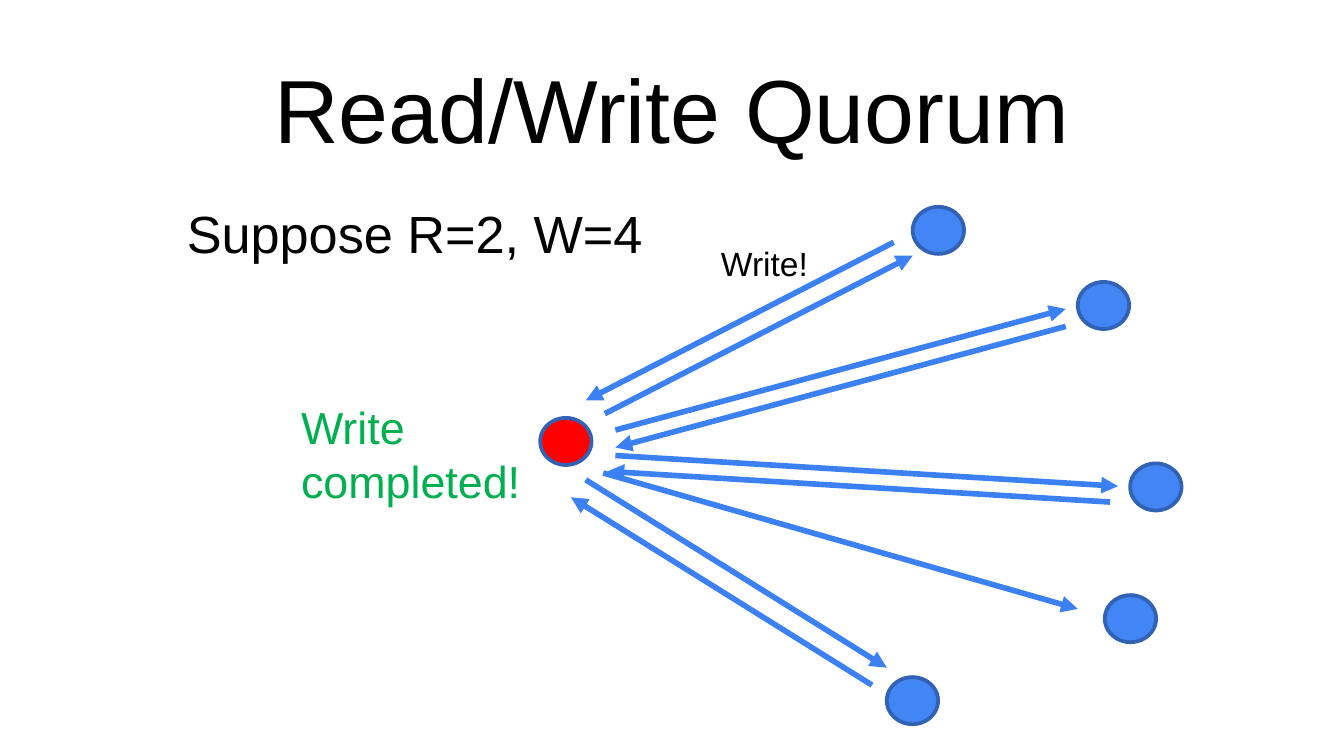
from dataclasses import dataclass

from lxml import etree
from pptx import Presentation
from pptx.dml.color import RGBColor
from pptx.enum.shapes import MSO_CONNECTOR, MSO_SHAPE
from pptx.enum.text import MSO_ANCHOR, MSO_AUTO_SIZE, PP_ALIGN
from pptx.oxml.ns import qn
from pptx.util import Cm, Pt

CIRCLE = MSO_SHAPE.FLOWCHART_CONNECTOR
STRAIGHT = MSO_CONNECTOR.STRAIGHT
LEFT, CENTER = PP_ALIGN.LEFT, PP_ALIGN.CENTER
MIDDLE = MSO_ANCHOR.MIDDLE
GROW = MSO_AUTO_SIZE.SHAPE_TO_FIT_TEXT
BLANK_LAYOUT = 6


@dataclass(frozen=True)
class Theme:
    font: str = "Arial"
    ink: str = "000000"
    success: str = "00B050"
    replica: str = "4285F4"
    coordinator: str = "FF0000"
    outline: str = "3162B5"
    arrow: str = "3C81F3"
    title_size: int = 48
    lead_size: int = 28
    status_size: int = 24
    label_size: int = 18
    outline_width: int = 2
    arrow_width: int = 3


THEME = Theme()
NODE_SIZE = (0.97, 0.89)

# Centimetres from the top left corner of the diagram
COORDINATOR = (0, 3.99)
REPLICAS = [(7.04, 0), (10.16, 1.42), (11.15, 4.85), (10.67, 7.34), (6.55, 8.89)]
# Start and end of each request, then the shift to its reply (None: no reply)
MESSAGES = [
    ((1.22, 3.91), (7.04, 0.92), (-0.36, -0.25)),
    ((1.42, 4.22), (9.93, 1.93), (0, 0.33)),
    ((1.42, 4.7), (10.92, 5.28), (-0.15, 0.3)),
    ((1.19, 5.03), (10.16, 7.6), None),
    ((0.86, 5.16), (6.55, 8.71), (-0.28, 0.33)),
]


def shift(point, offset):
    return point[0] + offset[0], point[1] + offset[1]


def add_text(page, box, lines, size, color=THEME.ink, align=CENTER, **frame_format):
    """Add a text box with one paragraph for each line."""
    frame = page.shapes.add_textbox(*map(Cm, box)).text_frame
    for name, value in ({"word_wrap": True, "auto_size": GROW} | frame_format).items():
        setattr(frame, name, value)
    frame.text = "\n".join(lines)
    for para in frame.paragraphs:
        para.alignment = align
        for span in para.runs:
            for name, value in {"name": THEME.font, "size": Pt(size)}.items():
                setattr(span.font, name, value)
            span.font.color.rgb = RGBColor.from_string(color)


def add_node(page, corner, color):
    node = page.shapes.add_shape(CIRCLE, *map(Cm, corner + NODE_SIZE))
    node.shadow.inherit = False
    node.fill.solid()
    node.fill.fore_color.rgb = RGBColor.from_string(color)
    node.line.color.rgb = RGBColor.from_string(THEME.outline)
    node.line.width = Pt(THEME.outline_width)


def add_arrow(page, start, end, tip):
    """Draw a line whose arrowhead is at tip: headEnd (start) or tailEnd (end)."""
    arrow = page.shapes.add_connector(STRAIGHT, *map(Cm, start + end))
    arrow.line.color.rgb = RGBColor.from_string(THEME.arrow)
    arrow.line.width = Pt(THEME.arrow_width)
    outline = arrow.line._get_or_add_ln()
    etree.SubElement(outline, qn(f"a:{tip}"), type="triangle")
    etree.SubElement(arrow._element.spPr, qn("a:effectLst"))


def add_heading(page, box):
    margins = dict.fromkeys(
        ("margin_left", "margin_top", "margin_right", "margin_bottom"), 0)
    add_text(page, box, ["Read/Write Quorum"], THEME.title_size,
             auto_size=MSO_AUTO_SIZE.NONE, vertical_anchor=MIDDLE, **margins)


def add_quorum_diagram(page, box):
    origin = box[:2]
    for corner in REPLICAS:
        add_node(page, shift(origin, corner), THEME.replica)
    add_node(page, shift(origin, COORDINATOR), THEME.coordinator)
    for start, end, reply in MESSAGES:
        start, end = shift(origin, start), shift(origin, end)
        add_arrow(page, start, end, "tailEnd")
        if reply:
            add_arrow(page, shift(start, reply), shift(end, reply), "headEnd")
    add_text(page, shift(origin, (3.02, 0.56)) + (2.44, 1.02), ["Write!"],
             THEME.label_size)
    add_text(page, shift(origin, (-4.77, 3.53)) + (4.7, 2.31),
             ["Write", "completed!"], THEME.status_size, THEME.success, LEFT,
             word_wrap=False)


def main():
    deck = Presentation()
    deck.slide_width, deck.slide_height = Cm(25.4), Cm(14.29)
    page = deck.slides.add_slide(deck.slide_layouts[BLANK_LAYOUT])
    add_heading(page, (0.86, 1.24, 23.67, 1.6))
    add_text(page, (0, 3.68, 15.67, 1.45), ["Suppose R=2, W=4"], THEME.lead_size)
    add_quorum_diagram(page, (10.21, 3.91, 12.12, 9.78))
    deck.save("out.pptx")


if __name__ == "__main__":
    main()
